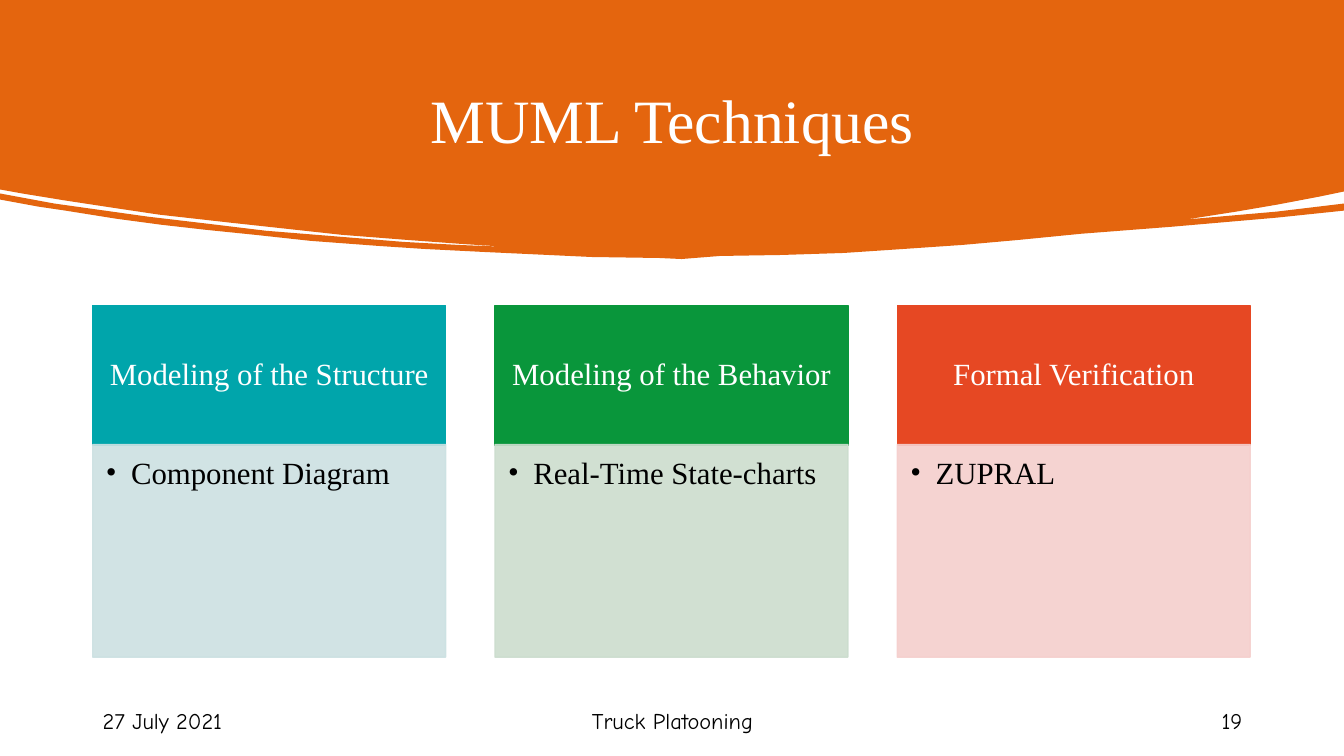
"""Build the MUML Techniques slide: a curved title band, three cards and a footer."""
from lxml.etree import SubElement
from pptx import Presentation
from pptx.dml.color import RGBColor as RGB
from pptx.enum.shapes import MSO_SHAPE as SHAPE
from pptx.enum.text import MSO_ANCHOR as ANCHOR, MSO_AUTO_SIZE as AUTO, PP_ALIGN as ALIGN
from pptx.oxml.ns import qn
from pptx.util import Inches, Pt

COLORS = {
    "band": "E4650E", "white": "FFFFFF", "black": "000000",
    "teal": "00A5AB", "teal_pale": "CCE1E2",
    "green": "09963B", "green_pale": "CCDDCE",
    "red": "E64823", "red_pale": "F5CFCD",
}
SERIF, HAND = "Times New Roman", "Comic Neue"
W, H = 13.33, 7.5
LEFT, SPAN, PITCH, CARD_W = 0.92, 11.5, 3.99, 3.5
HEAD_Y, HEAD_H, BODY_Y, BODY_H = 3.03, 1.39, 4.41, 2.11


def paint(sp, color, alpha=100):
    """Give a shape a fill and a matching line of one opacity."""
    sp.shadow.inherit = False
    sp.line.width = Pt(1)
    for fill in (sp.fill, sp.line.fill):
        fill.solid()
        fill.fore_color.rgb = RGB.from_string(COLORS[color])
    if alpha < 100:
        for clr in sp._element.spPr.iter(qn("a:srgbClr")):
            SubElement(clr, qn("a:alpha"), val=str(alpha * 1000))


def write(sp, text, font, size, color, align, anchor=ANCHOR.MIDDLE, insets=(0.1, 0.05, 0.1, 0.05)):
    """Put one formatted paragraph in a shape and return it."""
    tf = sp.text_frame
    sides = ("margin_left", "margin_top", "margin_right", "margin_bottom")
    frame = {"word_wrap": True, "auto_size": AUTO.NONE, "vertical_anchor": anchor}
    frame.update(zip(sides, map(Inches, insets)))
    for name, value in frame.items():
        setattr(tf, name, value)
    p = tf.paragraphs[0]
    p.alignment = align
    r = p.add_run()
    r.text = text
    for name, value in {"name": font, "size": Pt(size)}.items():
        setattr(r.font, name, value)
    r.font.color.rgb = RGB.from_string(COLORS[color])
    return p


prs = Presentation()
prs.slide_width, prs.slide_height = Inches(W), Inches(H)
s = prs.slides.add_slide(prs.slide_layouts[5])

right_edge = [
    (W, 0), (W, 1.9), (13.09, 1.95), (12.67, 2.03), (12.26, 2.1), (11.75, 2.18),
    (11.86, 2.17), (12.66, 2.1), (W, 2.02), (W, 2.09),
]
lower_edge = [
    (12.66, 2.16), (11.62, 2.25), (10.72, 2.32), (10.11, 2.38), (9.55, 2.43),
    (8.82, 2.48), (8.37, 2.51), (7.75, 2.53), (7.14, 2.54), (6.76, 2.57),
    (6.54, 2.56), (5.87, 2.55), (4.8, 2.5), (4.2, 2.47), (3.75, 2.44),
    (3.08, 2.39), (2.53, 2.33), (2.04, 2.28), (1.6, 2.23), (1.15, 2.17),
    (0.65, 2.09), (0.38, 2.05), (0, 1.98),
]
left_slit = [
    (0, 1.92), (0.54, 2.02), (1.04, 2.09), (1.47, 2.15), (2.06, 2.22),
    (2.64, 2.29), (3.26, 2.34), (4, 2.4), (4.54, 2.43), (5.04, 2.45),
    (4.57, 2.42), (4.03, 2.38), (3.39, 2.33), (2.84, 2.27), (2.29, 2.21),
    (1.58, 2.13), (1.11, 2.06), (0.65, 1.99), (0.22, 1.92), (0, 1.88),
]
outline = [(Inches(x), Inches(y)) for x, y in right_edge + lower_edge + left_slit]
fb = s.shapes.build_freeform(0, 0)
fb.add_line_segments(outline, close=True)
band = fb.convert_to_shape()
paint(band, "band")
band.line.fill.background()
s.shapes._spTree.insert(2, band._element)

title = s.shapes.title
title.left, title.top, title.width, title.height = map(Inches, (LEFT, 0.44, SPAN, 1.47))
write(title, "MUML Techniques", SERIF, 44, "white", ALIGN.CENTER)

cards = [
    ("teal", "Modeling of the Structure", "Component Diagram"),
    ("green", "Modeling of the Behavior", "Real-Time State-charts"),
    ("red", "Formal Verification", "ZUPRAL"),
]
for col, (color, heading, item) in enumerate(cards):
    x = LEFT + col * PITCH
    head = s.shapes.add_shape(SHAPE.RECTANGLE, *map(Inches, (x, HEAD_Y, CARD_W, HEAD_H)))
    paint(head, color)
    p = write(head, heading, SERIF, 22, "white", ALIGN.CENTER, insets=(0.17, 0.1, 0.17, 0.1))
    p.line_spacing = 0.9

    body = s.shapes.add_shape(SHAPE.RECTANGLE, *map(Inches, (x, BODY_Y, CARD_W, BODY_H)))
    paint(body, color + "_pale", 90)
    p = write(body, item, SERIF, 22, "black", ALIGN.LEFT, ANCHOR.TOP, (0.13, 0.13, 0.17, 0.19))
    p.line_spacing = 0.9
    pPr = p._p.get_or_add_pPr()
    for name, value in {"marL": 0.25, "indent": -0.25}.items():
        pPr.set(name, str(Inches(value)))
    SubElement(pPr, qn("a:buFont"), typeface=SERIF)
    SubElement(pPr, qn("a:buChar"), char="•")

footer = [
    (LEFT, 3, "27 July 2021", ALIGN.LEFT),
    (LEFT + (SPAN - 4.5) / 2, 4.5, "Truck Platooning", ALIGN.CENTER),
    (LEFT + SPAN - 3, 3, "19", ALIGN.RIGHT),
]
for x, width, text, align in footer:
    tb = s.shapes.add_textbox(*map(Inches, (x, 6.95, width, 0.4)))
    write(tb, text, HAND, 16, "black", align)

prs.save("out.pptx")
